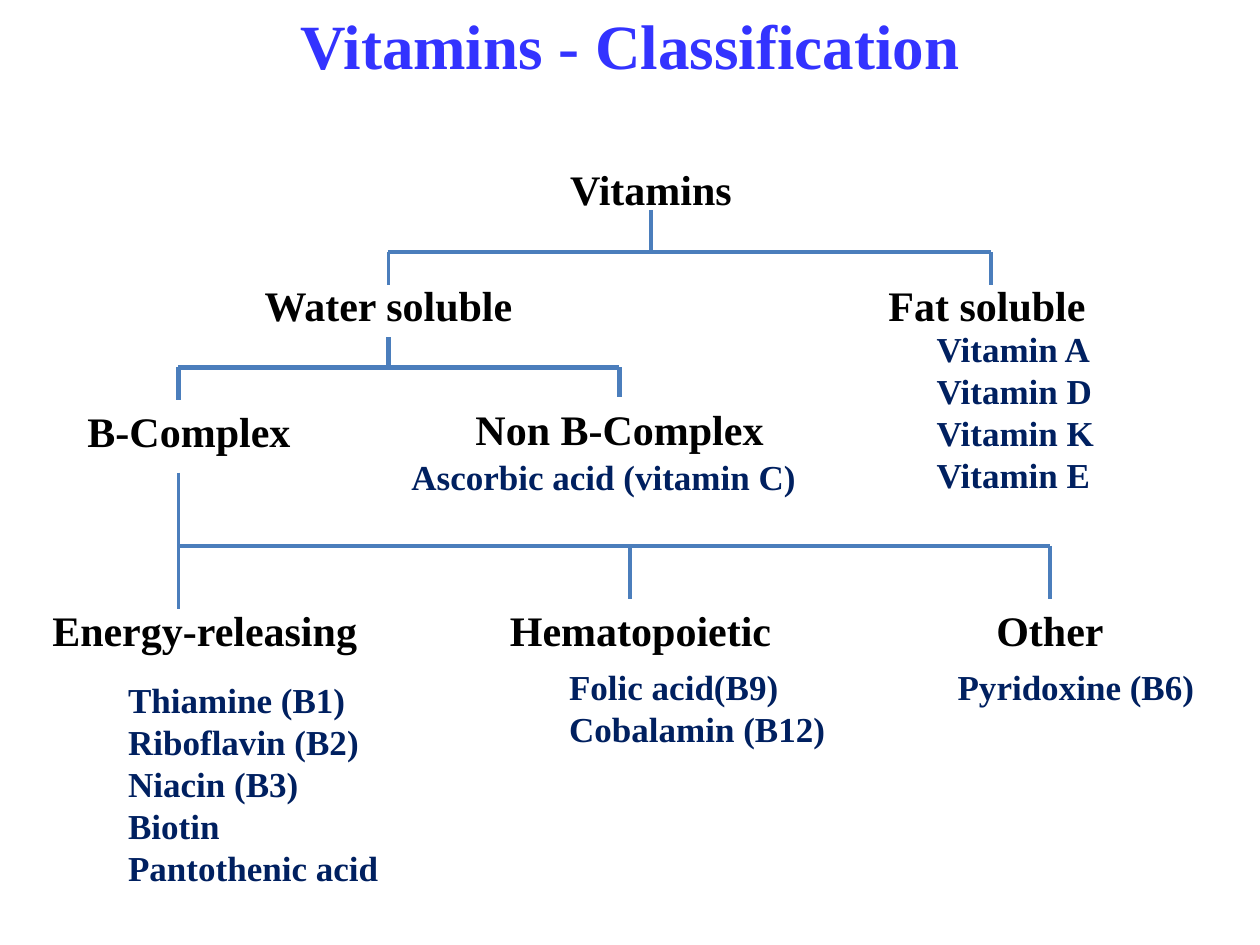
from dataclasses import dataclass

from lxml.etree import SubElement
from pptx import Presentation
from pptx.dml.color import RGBColor
from pptx.enum.shapes import MSO_CONNECTOR
from pptx.enum.text import MSO_ANCHOR, MSO_AUTO_SIZE, PP_ALIGN
from pptx.oxml.ns import qn
from pptx.util import Inches, Pt

COLUMNS, ROWS = 120, 90
TOP, BOTTOM = 0, 2


@dataclass(frozen=True)
class Theme:
    font: str = "Times New Roman"
    title_color: str = "3333FF"
    label_color: str = "000000"
    list_color: str = "002060"
    line_color: str = "4B7EBC"
    title_size: int = 36
    label_size: int = 24
    list_size: int = 20
    thin_line: float = 2.25
    thick_line: float = 3


class TreeSlide:
    def __init__(self, deck, theme):
        self.theme = theme
        self.cell_width = deck.slide_width / COLUMNS
        self.cell_height = deck.slide_height / ROWS
        self.page = deck.slides.add_slide(deck.slide_layouts.get_by_name("Comparison"))
        title, *bodies = self.page.placeholders
        self.title_box = title
        self.bodies = iter([box for box in bodies if box.placeholder_format.idx < 10])

    def across(self, columns):
        return round(columns * self.cell_width)

    def down(self, rows):
        return round(rows * self.cell_height)

    def place(self, box, column, row, width, height):
        box.left, box.top = self.across(column), self.down(row)
        box.width, box.height = self.across(width), self.down(height)

    def fill_text(self, box, lines, size, color, alignment):
        frame = box.text_frame
        frame.word_wrap = True
        frame.auto_size = MSO_AUTO_SIZE.NONE
        frame.vertical_anchor = MSO_ANCHOR.TOP
        frame.text = "\n".join(lines)
        for para in frame.paragraphs:
            properties = para._p.get_or_add_pPr()
            properties.set("marL", "0")
            properties.set("indent", "0")
            SubElement(properties, qn("a:buNone"))
            para.alignment = alignment
            para.space_before = Pt(0)
            para.font.name = self.theme.font
            para.font.size = Pt(size)
            para.font.bold = True
            para.font.color.rgb = RGBColor.from_string(color)

    def title(self, text):
        self.place(self.title_box, 0, 0, COLUMNS, 11)
        self.fill_text(self.title_box, [text], self.theme.title_size,
                       self.theme.title_color, PP_ALIGN.CENTER)

    def label(self, text, column, row, width):
        box = self.page.shapes.add_textbox(0, 0, 0, 0)
        self.place(box, column, row, width, 6.1)
        self.fill_text(box, [text], self.theme.label_size,
                       self.theme.label_color, PP_ALIGN.CENTER)
        return box

    def vitamin_list(self, lines, column, row, width):
        box = next(self.bodies, None) or self.page.shapes.add_textbox(0, 0, 0, 0)
        self.place(box, column, row, width, 1.2 + 4 * len(lines))
        self.fill_text(box, lines, self.theme.list_size,
                       self.theme.list_color, PP_ALIGN.LEFT)

    def line(self, start, end, weight):
        connector = self.page.shapes.add_connector(
            MSO_CONNECTOR.STRAIGHT,
            self.across(start[0]), self.down(start[1]),
            self.across(end[0]), self.down(end[1]))
        connector.line.color.rgb = RGBColor.from_string(self.theme.line_color)
        connector.line.width = Pt(weight)
        SubElement(connector._element.spPr, qn("a:effectLst"))
        return connector

    def branch(self, trunk, trunk_rows, bar, children, end, weight, parent=None):
        columns = [trunk] + [column for column, _ in children]
        stem = self.line((trunk, trunk_rows[0]), (trunk, trunk_rows[1]), weight)
        if parent:
            stem.begin_connect(parent, BOTTOM)
        self.line((min(columns), bar), (max(columns), bar), weight)
        for column, child in children:
            drop = self.line((column, bar), (column, end), weight)
            if child:
                drop.end_connect(child, TOP)


def main():
    deck = Presentation()
    deck.slide_width, deck.slide_height = Inches(10), Inches(7.5)
    theme = Theme()
    tree = TreeSlide(deck, theme)
    tree.title("Vitamins - Classification")

    tree.label("Vitamins", 50, 15, 24)
    water = tree.label("Water soluble", 23, 26, 28)
    tree.label("Fat soluble", 82, 26, 24)
    tree.label("B-Complex", 6, 38, 24)
    non_b_complex = tree.label("Non B-Complex", 43, 37.8, 32)
    tree.label("Energy-releasing", 2, 57, 35)
    tree.label("Hematopoietic", 45, 57, 32)
    other = tree.label("Other", 88, 57, 24)

    tree.vitamin_list(["Vitamin A", "Vitamin D", "Vitamin K", "Vitamin E"], 88, 30.6, 25)
    tree.vitamin_list(["Thiamine (B1)", "Riboflavin (B2)", "Niacin (B3)",
                       "Biotin", "Pantothenic acid"], 11, 64, 31)
    tree.vitamin_list(["Folic acid(B9)", "Cobalamin (B12)"], 53, 62.8, 28)
    tree.vitamin_list(["Pyridoxine (B6)"], 90, 62.8, 26)
    tree.vitamin_list(["Ascorbic acid (vitamin C)"], 38, 42.8, 46)

    tree.branch(62, (20, 24), 24, [(37, None), (94.4, None)], 27.1, theme.thin_line)
    tree.branch(37, (32, 35), 35, [(17, None), (59, non_b_complex)], 38.1,
                theme.thick_line, water)
    tree.branch(17, (45, 58), 52, [(60, None), (100, other)], 57, theme.thin_line)

    deck.save("out.pptx")


if __name__ == "__main__":
    main()
